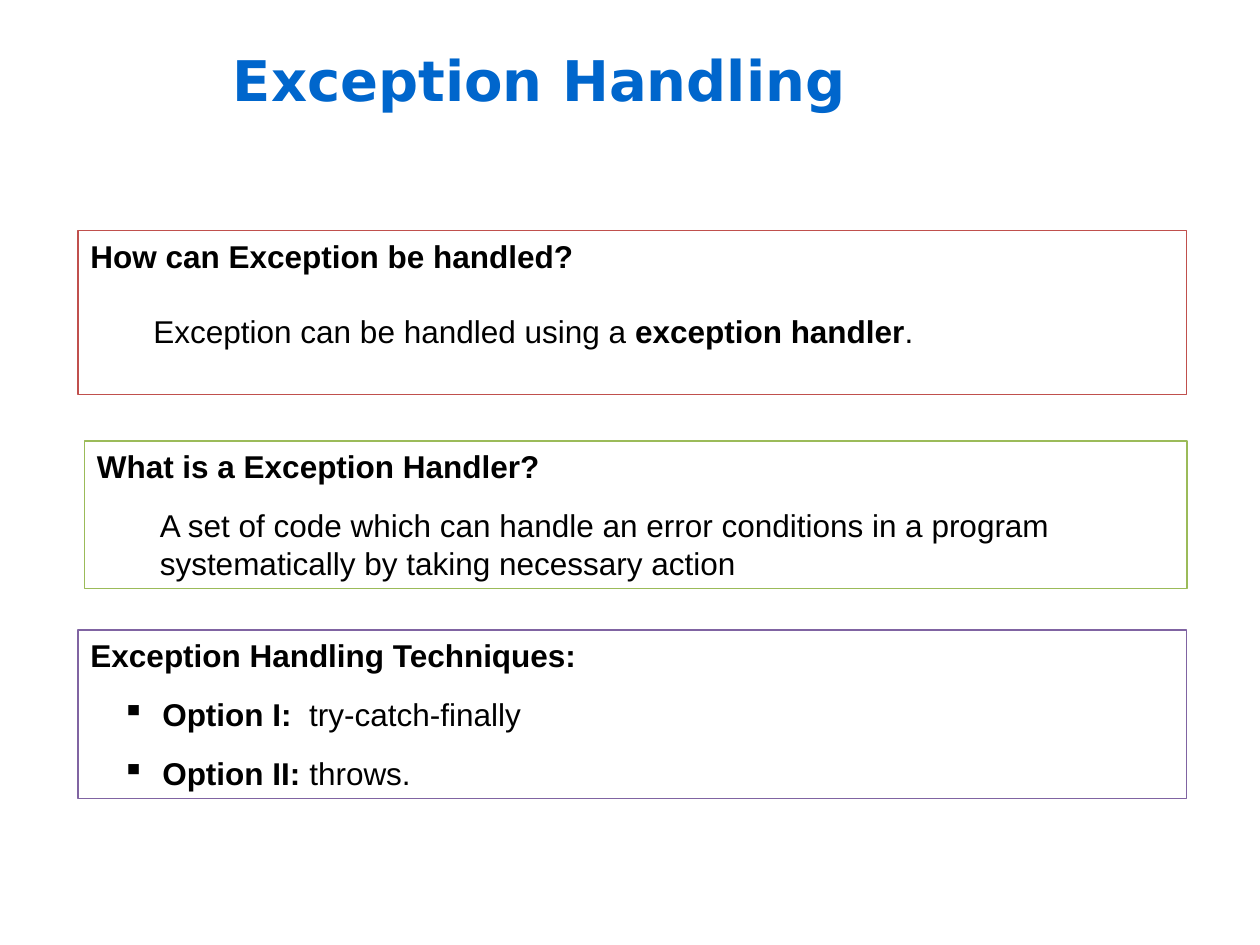
from pptx import Presentation
from pptx import util as u
from pptx.dml.color import RGBColor
from pptx.enum import shapes, text
from pptx.oxml.ns import qn
from lxml import etree

COLORS = {"title": "0066CC", "body": "000000", "panel": "FFFFFF",
          "handled": "C0504D", "handler": "9BBB59", "techniques": "8064A2"}
WIDTH, HEIGHT = 10, 7.5
RIGHT_EDGE = 9.42


class Deck:
    """Holds the style and the current slide; places are in inches."""

    def __init__(self):
        self.prs = Presentation()
        self.prs.slide_width, self.prs.slide_height = u.Inches(WIDTH), u.Inches(HEIGHT)
        self.slide = self.prs.slides.add_slide(self.prs.slide_layouts[6])

    def color(self, name):
        return RGBColor.from_string(COLORS[name])

    def style(self, paragraph, size, font, color, bold=None):
        paragraph.alignment = text.PP_ALIGN.LEFT
        paragraph.font.size, paragraph.font.name = u.Pt(size), font
        paragraph.font.color.rgb = self.color(color)
        paragraph.font.bold = bold

    def title(self, words, left, top, width, height):
        box = self.slide.shapes.add_textbox(*map(u.Inches, (left, top, width, height)))
        frame = box.text_frame
        frame.word_wrap = True
        frame.vertical_anchor = text.MSO_ANCHOR.MIDDLE
        frame.text = words
        self.style(frame.paragraphs[0], 32, "DejaVu Sans", "title", True)

    def panel(self, outline, left, top, height, heading):
        """An outlined box with a bold heading; returns its text frame."""
        box = self.slide.shapes.add_shape(
            shapes.MSO_SHAPE.RECTANGLE,
            *map(u.Inches, (left, top, RIGHT_EDGE - left, height)))
        box.shadow.inherit = False
        box.fill.solid()
        box.fill.fore_color.rgb = self.color("panel")
        box.line.color.rgb = self.color(outline)
        box.line.width = u.Pt(0.75)
        frame = box.text_frame
        frame.word_wrap = True
        frame.vertical_anchor = text.MSO_ANCHOR.TOP
        frame.text = heading
        self.style(frame.paragraphs[0], 18, "Arial", "body", True)
        return frame

    def entry(self, frame, runs, gap=12, indent=0.5, hanging=0, bullet=None):
        """An indented paragraph of (words, bold) runs."""
        paragraph = frame.add_paragraph()
        self.style(paragraph, 18, "Arial", "body")
        paragraph.space_before = u.Pt(gap)
        for words, bold in runs:
            run = paragraph.add_run()
            run.text, run.font.bold = words, bold
        props = paragraph._p.get_or_add_pPr()
        props.set("marL", str(u.Inches(indent)))
        props.set("indent", str(-u.Inches(hanging)))
        if bullet:
            mark = etree.Element(qn("a:buChar"), char=bullet)
            props.find(qn("a:defRPr")).addprevious(mark)


def main():
    deck = Deck()
    deck.title("Exception Handling", 1.75, 0, 8.25, 1.25)

    # How exceptions are handled
    handled = deck.panel("handled", 0.62, 1.83, 1.3, "How can Exception be handled?")
    deck.entry(handled, [("Exception can be handled using a ", False),
                         ("exception handler", True), (".", False)], gap=21.6)

    # Definition of a handler
    handler = deck.panel("handler", 0.67, 3.5, 1.17, "What is a Exception Handler?")
    deck.entry(handler, [("A set of code which can handle an error conditions in a program "
                          "systematically by taking necessary action", False)])

    # Techniques
    techniques = deck.panel("techniques", 0.62, 5, 1.34, "Exception Handling Techniques:")
    for option, keyword in (("Option I: ", " try-catch-finally"), ("Option II: ", "throws.")):
        deck.entry(techniques, [(option, True), (keyword, False)],
                   indent=0.57, hanging=0.32, bullet="▪")

    deck.prs.save("out.pptx")


if __name__ == "__main__":
    main()
